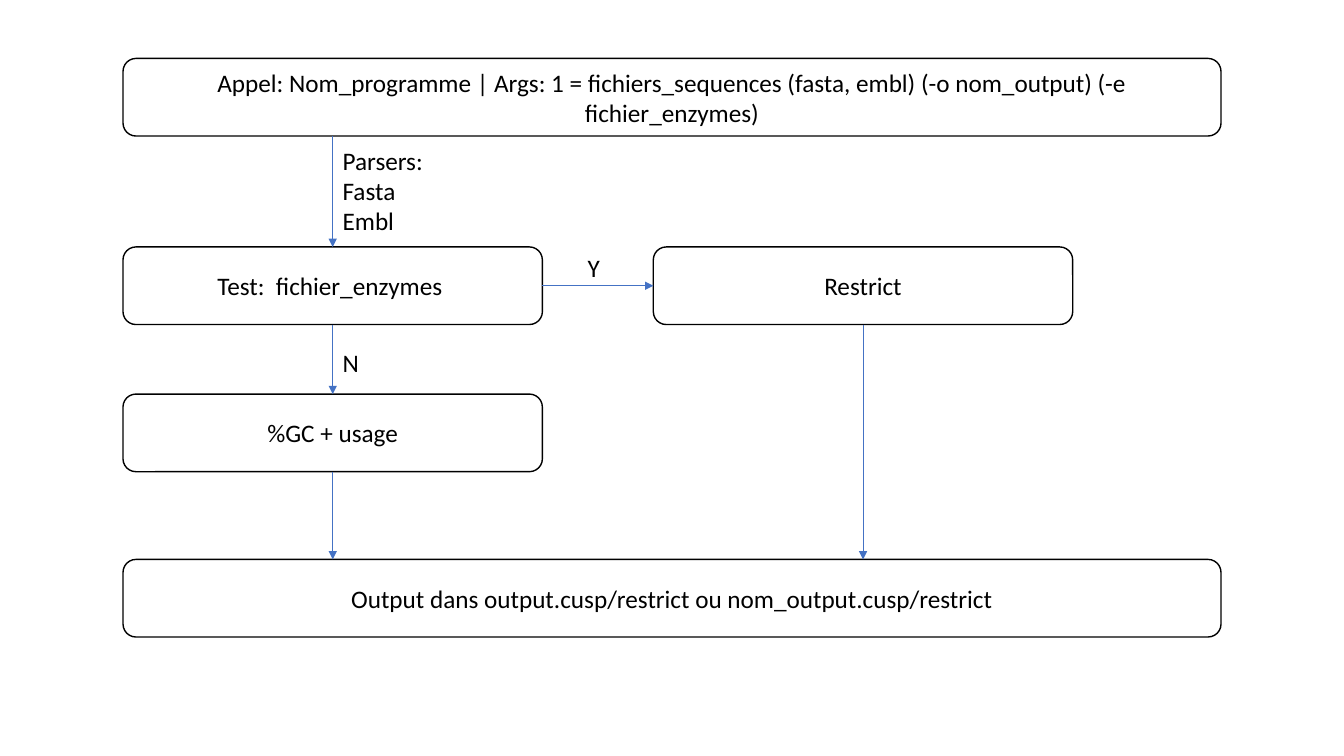
"""Build the flowchart slide of a sequence-analysis program."""
from dataclasses import dataclass

from lxml import etree
from pptx import Presentation
from pptx import util as u
from pptx.dml.color import RGBColor
from pptx.enum import shapes, text
from pptx.oxml.ns import qn

PX = 9144
COLORS = {"ink": "000000", "paper": "FFFFFF", "arrow": "4472C4"}
FONT, FONT_SIZE = "Calibri", 18
LEFT, RIGHT_COLUMN = 122, 648
WIDE, NARROW, BOX_HEIGHT = 1089, 416, 77
TOP, LEFT_SITE, BOTTOM, RIGHT_SITE = range(4)


@dataclass(frozen=True)
class Box:
    caption: str
    x: int
    y: int
    width: int

    def site(self, index: int) -> tuple[int, int]:
        """Return the point at a connection site."""
        middle_x, middle_y = self.x + self.width // 2, self.y + BOX_HEIGHT // 2
        return (
            (middle_x, self.y),
            (self.x, middle_y),
            (middle_x, self.y + BOX_HEIGHT),
            (self.x + self.width, middle_y),
        )[index]


@dataclass(frozen=True)
class Arrow:
    source: str
    target: str
    start: int = BOTTOM
    end: int = TOP


@dataclass(frozen=True)
class Label:
    lines: tuple[str, ...]
    x: int
    y: int
    width: int
    height: int


BOXES = {
    "call": Box(
        "Appel: Nom_programme | Args: 1 = fichiers_sequences (fasta, embl) "
        "(-o nom_output) (-e fichier_enzymes)", LEFT, 58, WIDE),
    "test": Box("Test:  fichier_enzymes ", LEFT, 245, NARROW),
    "restrict": Box("Restrict", RIGHT_COLUMN, 245, NARROW),
    "usage": Box("%GC + usage", LEFT, 391, NARROW),
    "output": Box("Output dans output.cusp/restrict ou nom_output.cusp/restrict",
                  LEFT, 555, WIDE),
}
ARROWS = (
    Arrow("call", "test"),
    Arrow("test", "usage"),
    Arrow("test", "restrict", RIGHT_SITE, LEFT_SITE),
    Arrow("usage", "output"),
    Arrow("restrict", "output"),
)
LABELS = (
    Label(("Parsers:", "Fasta", "Embl"), 330, 139, 100, 101),
    Label(("Y",), 573, 245, 32, 40),
    Label(("N",), 330, 340, 36, 40),
)


def px(*lengths: int) -> list[u.Emu]:
    """Convert pixel lengths to EMU."""
    return [u.Emu(length * PX) for length in lengths]


def rgb(name: str) -> RGBColor:
    """Look up a named colour."""
    return RGBColor.from_string(COLORS[name])


def write(tf, lines: tuple[str, ...], align) -> None:
    """Fill a text frame with one paragraph per line."""
    tf.text = "\n".join(lines)
    for p in tf.paragraphs:
        p.alignment = align
        p.font.name = FONT
        p.font.size = u.Pt(FONT_SIZE)
        p.font.color.rgb = rgb("ink")


def draw_box(s, box: Box):
    """Draw a rounded box with a centred caption."""
    sp = s.shapes.add_shape(shapes.MSO_SHAPE.ROUNDED_RECTANGLE,
                            *px(box.x, box.y, box.width, BOX_HEIGHT))
    sp.shadow.inherit = False
    sp.fill.solid()
    sp.fill.fore_color.rgb = rgb("paper")
    sp.line.color.rgb = rgb("ink")
    sp.line.width = u.Pt(1)
    sp.text_frame.vertical_anchor = text.MSO_ANCHOR.MIDDLE
    write(sp.text_frame, (box.caption,), text.PP_ALIGN.CENTER)
    return sp


def draw_arrow(s, arrow: Arrow, drawn: dict) -> None:
    """Draw a straight arrow, glued to each box whose site it meets."""
    source, target = BOXES[arrow.source], BOXES[arrow.target]
    start, end = source.site(arrow.start), target.site(arrow.end)
    if source.width == WIDE:
        start = (end[0], start[1])
    if target.width == WIDE:
        end = (start[0], end[1])
    cxn = s.shapes.add_connector(shapes.MSO_CONNECTOR.STRAIGHT, *px(*start, *end))
    if start == source.site(arrow.start):
        cxn.begin_connect(drawn[arrow.source], arrow.start)
    if end == target.site(arrow.end):
        cxn.end_connect(drawn[arrow.target], arrow.end)
    cxn.line.color.rgb = rgb("arrow")
    cxn.line.width = u.Pt(0.5)
    etree.SubElement(cxn.line._get_or_add_ln(), qn("a:tailEnd"), type="triangle")
    etree.SubElement(cxn._element.spPr, qn("a:effectLst"))


def draw_label(s, label: Label) -> None:
    """Draw an unwrapped text label."""
    tf = s.shapes.add_textbox(
        *px(label.x, label.y, label.width, label.height)).text_frame
    tf.word_wrap = False
    tf.auto_size = text.MSO_AUTO_SIZE.SHAPE_TO_FIT_TEXT
    write(tf, label.lines, text.PP_ALIGN.LEFT)


def main() -> None:
    """Assemble and save the slide."""
    prs = Presentation()
    prs.slide_width, prs.slide_height = px(1333, 750)
    s = prs.slides.add_slide(prs.slide_layouts[6])
    drawn = {name: draw_box(s, box) for name, box in BOXES.items()}
    for arrow in ARROWS:
        draw_arrow(s, arrow, drawn)
    for label in LABELS:
        draw_label(s, label)
    prs.save("out.pptx")


if __name__ == "__main__":
    main()
